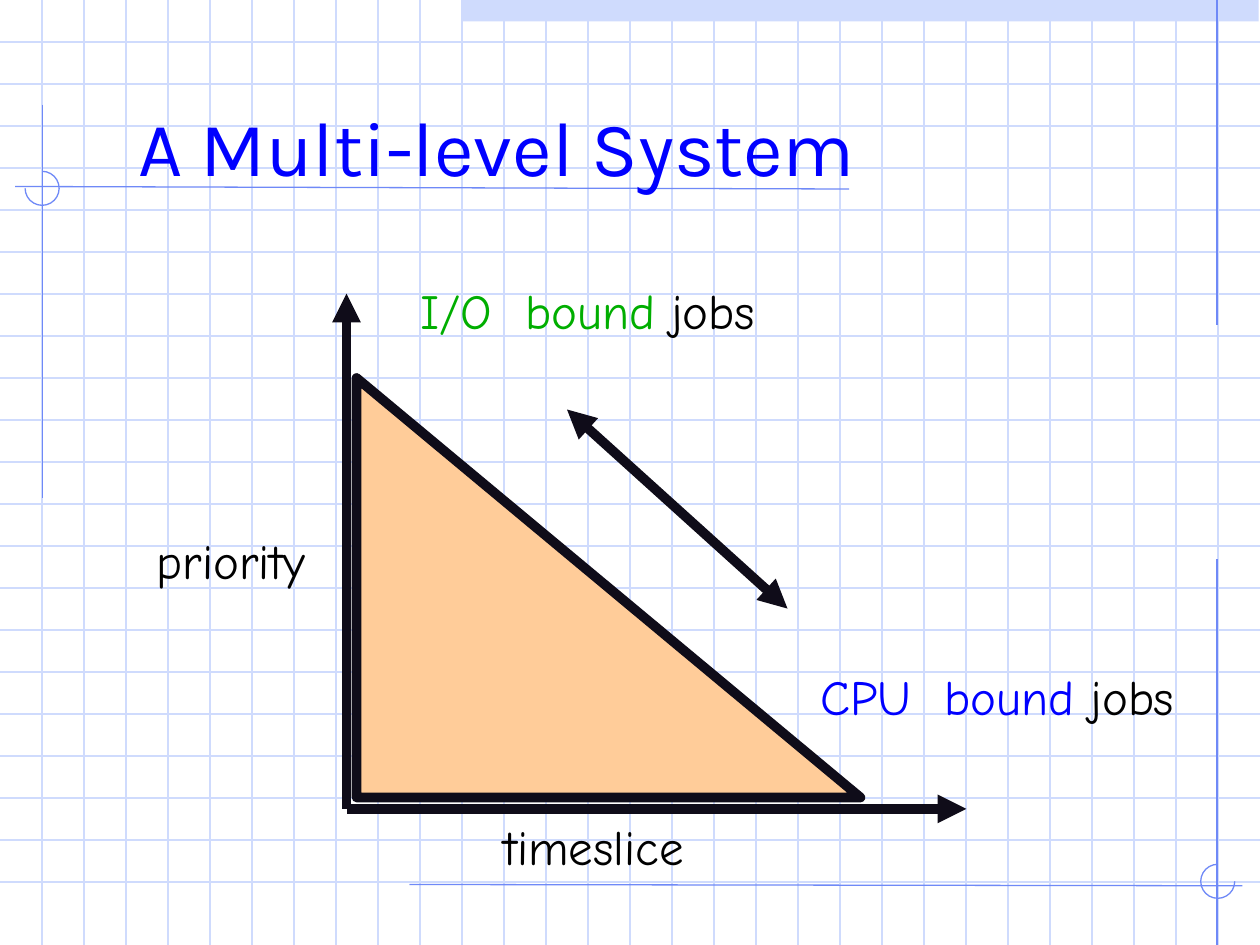
from dataclasses import dataclass

from lxml.etree import SubElement
from pptx import Presentation
from pptx.dml.color import RGBColor
from pptx.enum.shapes import MSO_CONNECTOR, MSO_SHAPE
from pptx.enum.text import MSO_ANCHOR, MSO_AUTO_SIZE, PP_ALIGN
from pptx.oxml.ns import qn
from pptx.util import Inches, Pt


@dataclass(frozen=True)
class Theme:
    """Colours, fonts and sizes of the slide."""
    grid: RGBColor = RGBColor(0xCF, 0xDB, 0xFD)
    guide: RGBColor = RGBColor(0x6F, 0x89, 0xF7)
    ink: RGBColor = RGBColor(0x0F, 0x0C, 0x19)
    area: RGBColor = RGBColor(0xFF, 0xCC, 0x99)
    blue: RGBColor = RGBColor(0x00, 0x00, 0xFF)
    green: RGBColor = RGBColor(0x00, 0xAE, 0x00)
    black: RGBColor = RGBColor(0x00, 0x00, 0x00)
    title_font: str = "Karla"
    label_font: str = "Comic Neue"
    title_size: Pt = Pt(44)
    label_size: Pt = Pt(28)
    thin: Pt = Pt(0.75)
    thick: Pt = Pt(5.5)


@dataclass(frozen=True)
class Box:
    """A region in inches."""
    left: float
    top: float
    width: float
    height: float

    def inner(self, left, top, width, height):
        """Return a box placed relative to this one."""
        return Box(self.left + left, self.top + top, width, height)

    def lengths(self):
        """Return left, top, width and height as lengths."""
        return [Inches(value) for value in (self.left, self.top, self.width, self.height)]


THEME = Theme()


def add_line(page, box, start, end, color, width, heads=()):
    """Draw a line between two points of the box, with optional arrowheads."""
    points = [Inches(value) for x, y in (start, end) for value in (box.left + x, box.top + y)]
    line = page.shapes.add_connector(MSO_CONNECTOR.STRAIGHT, *points)
    line.line.color.rgb = color
    line.line.width = width
    outline = line.line._get_or_add_ln()
    for head in heads:
        SubElement(outline, qn(f"a:{head}"), type="triangle")
    SubElement(line._element.spPr, qn("a:effectLst"))


def add_text(page, box, spans, font, size):
    """Add a text box of one paragraph made of coloured spans."""
    shape = page.shapes.add_textbox(*box.lengths())
    frame = shape.text_frame
    frame.word_wrap = True
    para = frame.paragraphs[0]
    para.font.name = font
    para.font.size = size
    for text, color in spans:
        span = para.add_run()
        span.text = text
        span.font.color.rgb = color
    return frame


def add_label(page, box, *spans):
    """Add a centred diagram label."""
    frame = add_text(page, box, spans, THEME.label_font, THEME.label_size)
    frame.auto_size = MSO_AUTO_SIZE.SHAPE_TO_FIT_TEXT
    para = frame.paragraphs[0]
    para.alignment = PP_ALIGN.CENTER
    para.line_spacing = 1.34
    para.space_before = Pt(17.5)


def add_ring(page, box, start, end):
    """Draw an open ring clockwise between two angles in degrees."""
    ring = page.shapes.add_shape(MSO_SHAPE.ARC, *box.lengths())
    ring.shadow.inherit = False
    ring.adjustments[0] = start * 0.6
    ring.adjustments[1] = end * 0.6
    ring.fill.background()
    ring.line.color.rgb = THEME.guide
    ring.line.width = THEME.thin


def add_grid(page, box):
    """Draw the top band and the squared paper, three squares to the inch."""
    band = page.shapes.add_shape(MSO_SHAPE.RECTANGLE, *box.inner(3.66, 0, 6.33, 0.17).lengths())
    band.shadow.inherit = False
    band.fill.solid()
    band.fill.fore_color.rgb = THEME.grid
    band.line.fill.background()
    pitch = 1 / 3
    for row in range(1, round(box.height / pitch)):
        y = row * pitch
        add_line(page, box, (0, y), (box.width, y), THEME.grid, THEME.thin)
    for column in range(1, round(box.width / pitch)):
        x = column * pitch
        add_line(page, box, (x, 0), (x, box.height), THEME.grid, THEME.thin)


def add_guides(page, box):
    """Draw the drafting lines and their open rings."""
    guides = [
        ((9.66, 0), (9.66, 2.58)),
        ((0.34, 0.83), (0.34, 3.95)),
        ((6.74, 1.5), (0.12, 1.48)),
        ((3.25, 7.02), (9.86, 7.03)),
        ((9.66, 4.44), (9.66, 7.5)),
    ]
    for start, end in guides:
        add_line(page, box, start, end, THEME.guide, THEME.thin)
    add_ring(page, box.inner(0.2, 1.36, 0.27, 0.27), 270, 180)
    add_ring(page, box.inner(9.53, 6.86, 0.27, 0.27), 0, 270)


def add_title(page, box):
    """Add the slide title at the bottom of its box."""
    spans = [("A Multi-level System", THEME.blue)]
    frame = add_text(page, box, spans, THEME.title_font, THEME.title_size)
    frame.vertical_anchor = MSO_ANCHOR.BOTTOM
    frame.paragraphs[0].line_spacing = 1.04


def add_diagram(page, box):
    """Draw priority against timeslice with the two kinds of jobs."""
    origin = (1.83, 4.4)
    for end in ((1.83, 0.31), (6.75, 4.4)):
        add_line(page, box, origin, end, THEME.ink, THEME.thick, ["tailEnd"])
    triangle = page.shapes.add_shape(
        MSO_SHAPE.RIGHT_TRIANGLE, *box.inner(1.91, 0.98, 4, 3.33).lengths())
    triangle.shadow.inherit = False
    triangle.fill.solid()
    triangle.fill.fore_color.rgb = THEME.area
    triangle.line.color.rgb = THEME.ink
    triangle.line.width = THEME.thick
    add_label(page, box.inner(0, 1.98, 1.83, 0.73), ("priority", THEME.black))
    add_label(page, box.inner(2, 4.25, 3.58, 0.73), ("timeslice", THEME.black))
    add_label(page, box.inner(1.66, 0, 4.17, 0.73),
              ("I/O  bound ", THEME.green), ("jobs", THEME.black))
    add_label(page, box.inner(4.91, 3.06, 4.17, 0.73),
              ("CPU  bound", THEME.blue), (" jobs", THEME.black))
    add_line(page, box, (3.58, 1.23), (5.33, 2.81), THEME.ink, THEME.thick,
             ["headEnd", "tailEnd"])


def main():
    """Build and save the deck."""
    deck = Presentation()
    deck.slide_width = Inches(10)
    deck.slide_height = Inches(7.5)
    page = deck.slides.add_slide(deck.slide_layouts[6])
    sheet = Box(0, 0, 10, 7.5)
    add_grid(page, sheet)
    add_guides(page, sheet)
    add_title(page, Box(1, 0, 8.5, 1.57))
    add_diagram(page, Box(0.92, 2.02, 9.08, 4.98))
    deck.save("out.pptx")


if __name__ == "__main__":
    main()
